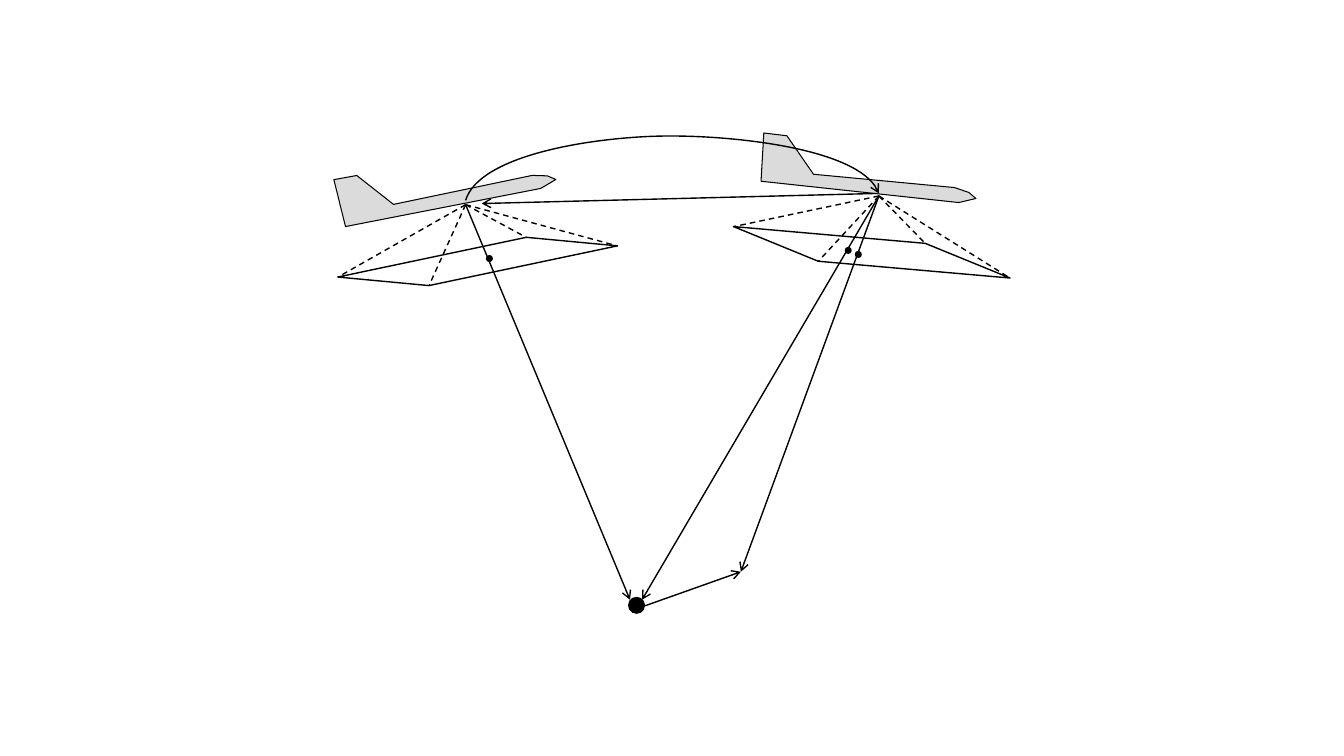
from dataclasses import dataclass
from math import cos, radians, sin

from lxml import etree
from pptx import Presentation
from pptx.dml.color import RGBColor
from pptx.enum.dml import MSO_LINE
from pptx.enum.shapes import MSO_CONNECTOR, MSO_SHAPE
from pptx.oxml.ns import qn
from pptx.util import Pt

STRAIGHT = MSO_CONNECTOR.STRAIGHT
PARALLELOGRAM, OVAL = MSO_SHAPE.PARALLELOGRAM, MSO_SHAPE.OVAL
DASH = MSO_LINE.DASH
AT_START, AT_END = "a:headEnd", "a:tailEnd"


@dataclass(frozen=True)
class Theme:
    ink: RGBColor = RGBColor(0, 0, 0)
    body: RGBColor = RGBColor(0xDB, 0xDB, 0xDB)
    paper: RGBColor = RGBColor(255, 255, 255)
    thin: float = 0.75
    line: float = 1


THEME = Theme()

# Side view of the aircraft, clockwise from the lower tail corner
AIRCRAFT = [(0, 34.5), (2, 0), (18.5, 2), (37.5, 29.5), (138.2, 39),
            (148.5, 42.5), (153.5, 46.8), (141.3, 49.7)]
FRAME_W, FRAME_H, FRAME_SKEW = 200, 19.4, 3.22
DOT, TARGET = 5, 12.2

# Each camera view: box corner, then parts relative to that corner
VIEWS = [
    {"box": (240.5, 105.1), "aircraft": (0, 0), "aircraft_tilt": -17.2,
     "frame": (0.7, 72), "frame_tilt": -11.9, "lens": (92.1, 41.1),
     "dots": [(109.1, 79.6)]},
    {"box": (522.7, 95), "aircraft": (20.9, 0), "aircraft_tilt": 0,
     "frame": (0, 75.6), "frame_tilt": 5, "lens": (105.1, 45),
     "dots": [(83.2, 83.9), (90.4, 86.8)]},
]
TARGET_CENTER = (454.7, 432.4)

# Flight arc relative to the left lens: start, then cubic curves of
# two control points and an end point each
ARC = [(0, -3),
       (10, -36), (92.4, -48.3), (141.2, -49),
       (190, -49.7), (284.4, -39.6), (295.2, -8)]


def shift(origin, offset):
    return origin[0] + offset[0], origin[1] + offset[1]


def points(*values):
    return [Pt(v) for v in values]


def style(sp, fill=None, line=None, width=THEME.line):
    sp.shadow.inherit = False
    for part, color in ((sp.fill, fill), (sp.line.fill, line)):
        if color is None:
            part.background()
        else:
            part.solid()
            part.fore_color.rgb = color
    if line is not None:
        sp.line.width = Pt(width)


def add_arrowhead(sp, end):
    """Needs a line that already has its colour and dash."""
    ln = sp._element.spPr.find(qn("a:ln"))
    etree.SubElement(ln, qn(end), type="arrow")


def add_line(slide, start, stop, arrow=None, **formats):
    sp = slide.shapes.add_connector(STRAIGHT, *points(*start, *stop))
    etree.SubElement(sp._element.spPr, qn("a:effectLst"))
    sp.line.color.rgb = THEME.ink
    for name, value in {"width": Pt(THEME.line), **formats}.items():
        setattr(sp.line, name, value)
    if arrow:
        add_arrowhead(sp, arrow)


def add_outline(slide, origin, outline, close):
    start, *rest = [points(*shift(origin, p)) for p in outline]
    builder = slide.shapes.build_freeform(*start)
    builder.add_line_segments(rest, close=close)
    return builder.convert_to_shape()


def add_dot(slide, center, size):
    corner = shift(center, (-size / 2, -size / 2))
    sp = slide.shapes.add_shape(OVAL, *points(*corner, size, size))
    style(sp, fill=THEME.ink)


def join_as_curves(sp):
    """Turn every three straight segments into one cubic curve."""
    segments = list(sp._element.iter(qn("a:lnTo")))
    for i in range(0, len(segments), 3):
        curve = etree.Element(qn("a:cubicBezTo"))
        segments[i].addprevious(curve)
        for segment in segments[i:i + 3]:
            curve.append(segment[0])
            segment.getparent().remove(segment)


def frame_corners(corner, tilt):
    """Corners of the image frame, turned about its centre."""
    half_w, half_h = FRAME_W / 2, FRAME_H / 2
    inner = half_w - FRAME_H * FRAME_SKEW
    center = shift(corner, (half_w, half_h))
    c, s = cos(radians(tilt)), sin(radians(tilt))
    flat = [(-half_w, -half_h), (-inner, half_h),
            (half_w, half_h), (inner, -half_h)]
    return [shift(center, (x * c - y * s, x * s + y * c)) for x, y in flat]


def add_aircraft(slide, corner, tilt):
    sp = add_outline(slide, corner, AIRCRAFT, close=True)
    style(sp, THEME.body, THEME.ink, THEME.thin)
    sp.rotation = tilt


def add_frame(slide, corner, tilt):
    sp = slide.shapes.add_shape(
        PARALLELOGRAM, *points(*corner, FRAME_W, FRAME_H))
    style(sp, THEME.paper, THEME.ink)
    sp.adjustments[0] = FRAME_SKEW
    sp.rotation = tilt
    sp._element.spPr.find(qn("a:xfrm")).set("flipV", "1")


def add_view(slide, view):
    """Draw one camera view and return the place of its lens."""
    aircraft, frame, lens = (
        shift(view["box"], view[name]) for name in ("aircraft", "frame", "lens"))
    add_aircraft(slide, aircraft, view["aircraft_tilt"])
    add_frame(slide, frame, view["frame_tilt"])
    # Dashed rays from the lens to the frame corners
    for corner in frame_corners(frame, view["frame_tilt"]):
        add_line(slide, lens, corner, dash_style=DASH)
    # Image points
    for dot in view["dots"]:
        add_dot(slide, shift(view["box"], dot), DOT)
    return lens


def add_motion(slide, left, right):
    """Flight arc to the right lens and straight baseline back."""
    sp = add_outline(slide, left, ARC, close=False)
    join_as_curves(sp)
    style(sp, line=THEME.ink)
    add_arrowhead(sp, AT_END)
    add_line(slide, shift(left, (11.5, -0.8)), shift(right, (-2, -1.8)), AT_START)


def add_target(slide, center, left, right):
    """Ground point, its sight lines and the offset vector."""
    add_dot(slide, center, TARGET)
    upper_left, upper_right, side, displaced = (
        shift(center, offset)
        for offset in ((-4.7, -4), (3.9, -4), (6.1, 0.3), (74.5, -24)))
    for start, stop in ((left, upper_left), (right, upper_right),
                        (right, displaced), (side, displaced)):
        add_line(slide, start, stop, AT_END)


def main():
    prs = Presentation()
    prs.slide_width, prs.slide_height = points(960, 540)
    slide = prs.slides.add_slide(prs.slide_layouts[6])
    left, right = [add_view(slide, view) for view in VIEWS]
    add_motion(slide, left, right)
    add_target(slide, TARGET_CENTER, left, right)
    prs.save("out.pptx")


if __name__ == "__main__":
    main()
